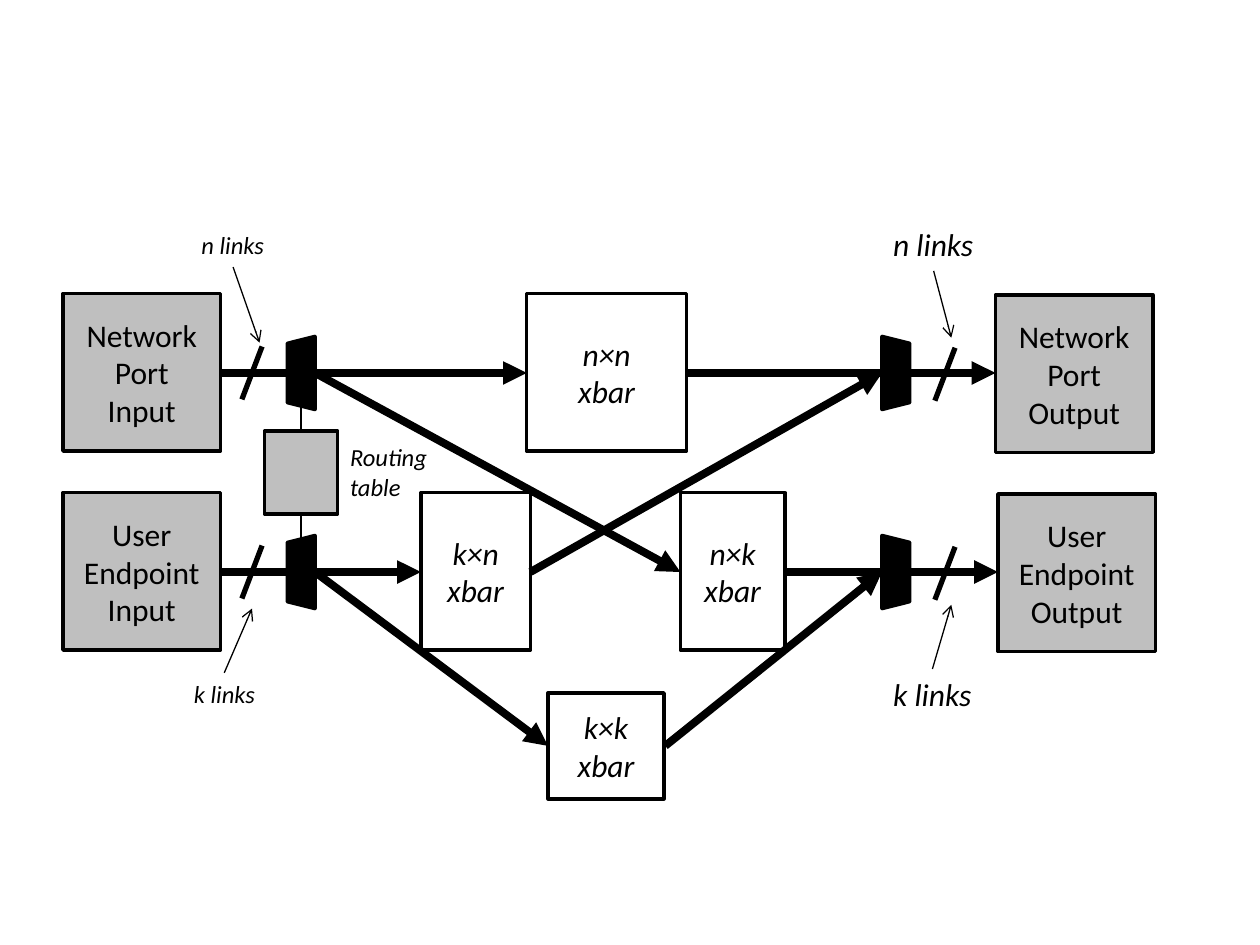
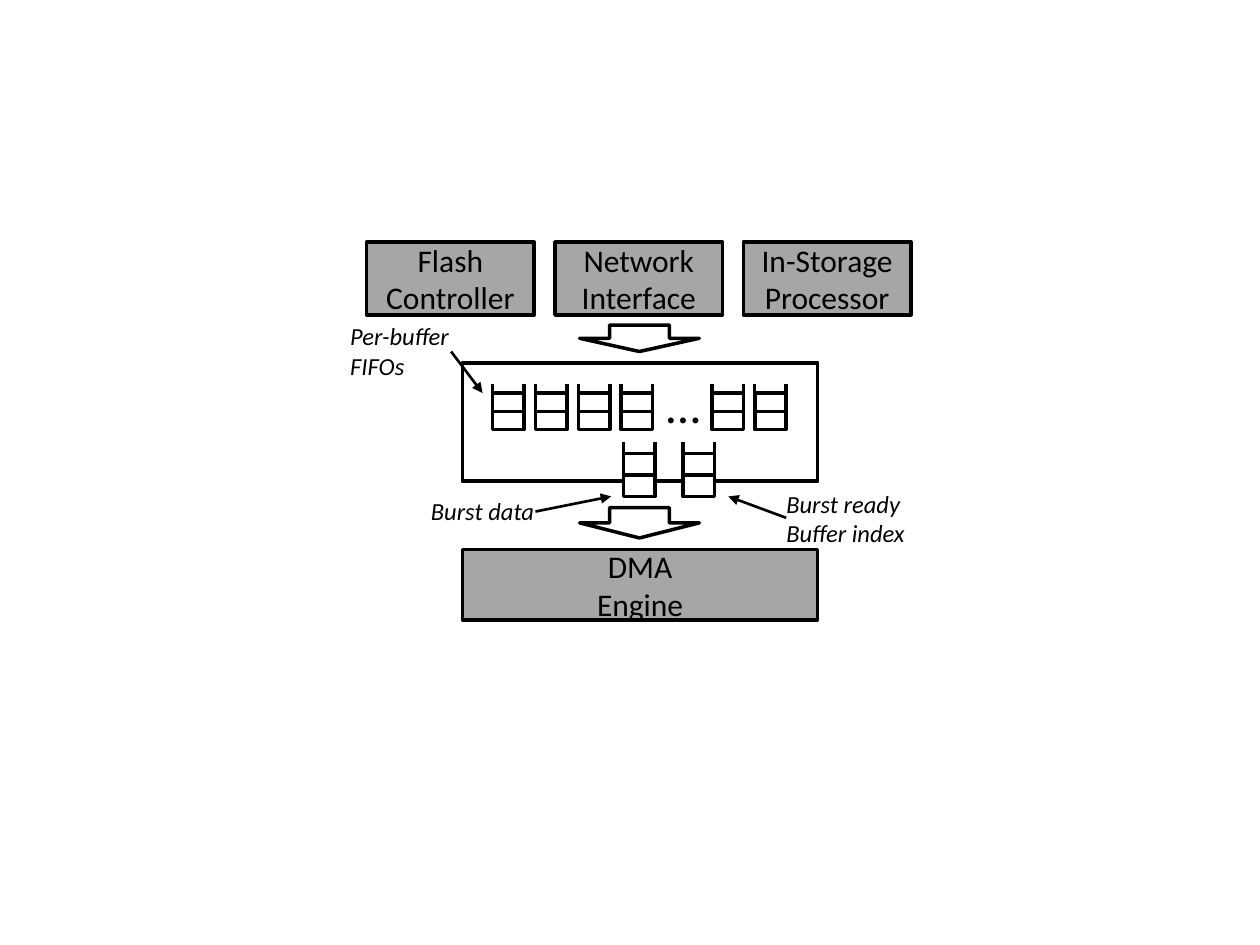
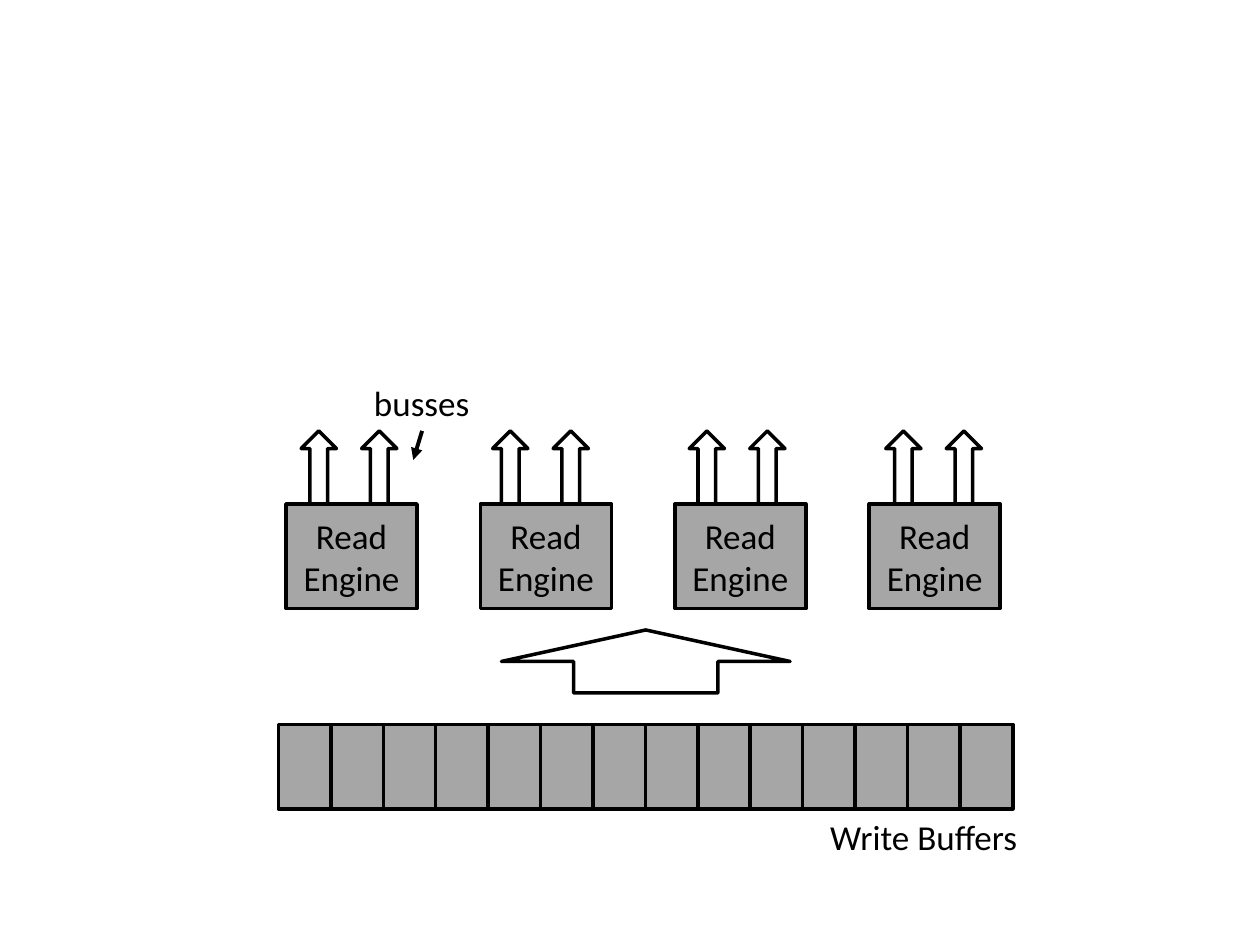
from dataclasses import dataclass
from typing import Optional

import pptx
import pptx.dml.color
import pptx.enum.shapes
import pptx.enum.text
import pptx.oxml.ns
import pptx.util
from lxml import etree

Inches = pptx.util.Inches
Pt = pptx.util.Pt
RGBColor = pptx.dml.color.RGBColor
Shape = pptx.enum.shapes.MSO_SHAPE
Align = pptx.enum.text.PP_ALIGN
Anchor = pptx.enum.text.MSO_ANCHOR
qn = pptx.oxml.ns.qn

# Shared style
BLACK = RGBColor(0x00, 0x00, 0x00)
WHITE = RGBColor(0xFF, 0xFF, 0xFF)
LIGHT_GREY = RGBColor(0xBF, 0xBF, 0xBF)
GREY = RGBColor(0xA6, 0xA6, 0xA6)
FONT = "Calibri"
OUTLINE = 2


@dataclass
class Box:
    x: float
    y: float
    w: float
    h: float
    text: str = ""
    fill: Optional[RGBColor] = GREY
    size: int = 18
    italic: bool = False
    kind: Shape = Shape.RECTANGLE
    rotation: int = 0


@dataclass
class Line:
    x1: float
    y1: float
    x2: float
    y2: float
    width: float = OUTLINE
    head: str = ""


@dataclass
class Label:
    x: float
    y: float
    w: float
    h: float
    text: str
    size: int = 14
    italic: bool = True
    inset: bool = True


def write_text(tf, text: str, *, size: int, italic: bool = False,
               align: Optional[Align] = None) -> None:
    """Fill a text frame, one paragraph for each line of text."""
    for i, row in enumerate(text.split("\n")):
        p = tf.add_paragraph() if i else tf.paragraphs[0]
        p.alignment = align
        r = p.add_run()
        r.text = row
        r.font.name = FONT
        r.font.size = Pt(size)
        r.font.italic = italic
        r.font.color.rgb = BLACK


def add_box(s, box: Box) -> None:
    sp = s.shapes.add_shape(box.kind, Inches(box.x), Inches(box.y),
                            Inches(box.w), Inches(box.h))
    sp.shadow.inherit = False
    sp.rotation = box.rotation
    if box.fill is None:
        sp.fill.background()
    else:
        sp.fill.solid()
        sp.fill.fore_color.rgb = box.fill
    sp.line.color.rgb = BLACK
    sp.line.width = Pt(OUTLINE)
    if box.text:
        sp.text_frame.vertical_anchor = Anchor.MIDDLE
        write_text(sp.text_frame, box.text, size=box.size, italic=box.italic,
                   align=Align.CENTER)


def add_line(s, line: Line) -> None:
    sp = s.shapes.add_connector(
        pptx.enum.shapes.MSO_CONNECTOR.STRAIGHT,
        Inches(line.x1), Inches(line.y1), Inches(line.x2), Inches(line.y2))
    sp.line.color.rgb = BLACK
    sp.line.width = Pt(line.width)
    if line.head:
        etree.SubElement(sp.line._get_or_add_ln(), qn("a:tailEnd"), type=line.head)
    etree.SubElement(sp._element.spPr, qn("a:effectLst"))


def add_label(s, label: Label) -> None:
    sp = s.shapes.add_textbox(Inches(label.x), Inches(label.y),
                              Inches(label.w), Inches(label.h))
    tf = sp.text_frame
    tf.word_wrap = False
    tf.auto_size = pptx.enum.text.MSO_AUTO_SIZE.SHAPE_TO_FIT_TEXT
    if not label.inset:
        tf.margin_left = tf.margin_top = tf.margin_right = tf.margin_bottom = 0
    write_text(tf, label.text, size=label.size, italic=label.italic)


def add_fifo(s, x: float, top: float, lip: float, cell: float) -> None:
    """Draw two stacked cells with side walls that rise above them."""
    w = 0.25
    for i in range(2):
        add_box(s, Box(x, top + lip + i * cell, w, cell, fill=WHITE))
    for wall in (x, x + w):
        add_line(s, Line(wall, top + lip + 1.5 * cell, wall, top))


def crossbar_slide(s) -> None:
    network_y, endpoint_y, bypass_y = 2.96, 4.54, 5.92
    side = 1.25

    # Ports and crossbars
    for x, y, text in ((0.5, 2.33, "Network\nPort\nInput"),
                       (0.5, 3.91, "User\nEndpoint\nInput"),
                       (7.9, 2.34, "Network\nPort\nOutput"),
                       (7.92, 3.92, "User\nEndpoint\nOutput")):
        add_box(s, Box(x, y, side, side, text, LIGHT_GREY))
    for x, y, w, h, name in ((4.18, 2.33, 1.27, side, "n×n"),
                             (3.34, 3.91, 0.87, side, "k×n"),
                             (5.4, 3.91, 0.83, side, "n×k"),
                             (4.35, 5.5, 0.92, 0.84, "k×k")):
        add_box(s, Box(x, y, w, h, f"{name}\nxbar", WHITE, italic=True))

    # Multiplexers and the slashes that mark bundles of links
    for y in (network_y, endpoint_y):
        for x, rotation in ((2.1, 270), (6.82, 90)):
            add_box(s, Box(x, y - 0.11, 0.58, 0.22, fill=BLACK,
                           kind=Shape.TRAPEZOID, rotation=rotation))
        for x, dy in ((2, 0), (7.5, 0.01)):
            add_line(s, Line(x + 0.08, y - 0.21 + dy, x - 0.08, y + 0.21 + dy, 3))

    # Data paths
    for ends in ((1.75, network_y, 4.18, network_y),
                 (1.75, endpoint_y, 3.34, endpoint_y),
                 (2.5, endpoint_y, 4.35, bypass_y),
                 (2.5, network_y, 5.4, endpoint_y),
                 (5.45, network_y, 7.9, network_y),
                 (4.21, endpoint_y, 7, network_y),
                 (6.23, endpoint_y, 7.92, endpoint_y),
                 (5.28, bypass_y, 7, endpoint_y)):
        add_line(s, Line(*ends, width=4.5, head="triangle"))

    # Link counts with pointers
    for label, ends in (
            (Label(1.5, 1.78, 0.71, 0.34, "n links"), (1.85, 2.12, 2.06, 2.72)),
            (Label(6.99, 1.74, 0.84, 0.4, "n links", 18), (7.41, 2.15, 7.55, 2.68)),
            (Label(1.44, 5.34, 0.69, 0.34, "k links"), (1.78, 5.34, 2, 4.83)),
            (Label(6.99, 5.31, 0.83, 0.4, "k links", 18), (7.4, 5.31, 7.55, 4.8))):
        add_label(s, label)
        add_line(s, Line(*ends, width=0.75, head="arrow"))

    # Routing table
    add_box(s, Box(2.1, 3.42, 0.58, 0.66, fill=LIGHT_GREY))
    for y1, y2 in ((3.22, 3.42), (4.08, 4.27)):
        add_line(s, Line(2.39, y1, 2.39, y2, 0.75))
    add_label(s, Label(2.68, 3.46, 0.82, 0.57, "Routing\ntable"))


def buffer_slide(s) -> None:
    # Sources and the engine
    for i, text in enumerate(("Flash\nController", "Network\nInterface",
                              "In-Storage\nProcessor")):
        add_box(s, Box(2.91 + 1.495 * i, 1.92, 1.33, 0.58, text))
    add_box(s, Box(3.67, 4.36, 2.82, 0.56, "DMA\nEngine"))

    # Buffer block with its queues
    add_box(s, Box(3.67, 2.88, 2.82, 0.94, fill=None))
    for start, count in ((3.91, 4), (5.65, 2)):
        for i in range(count):
            add_fifo(s, start + 0.34 * i, 3.05, 0.07, 0.145)
    add_label(s, Label(5.19, 2.92, 0.47, 0.47, "…", 28, italic=False))
    for x in (4.95, 5.42):
        add_fifo(s, x, 3.51, 0.09, 0.17)

    # Flow arrows
    for y, h in ((2.58, 0.21), (4.03, 0.24)):
        add_box(s, Box(4.6, y, 0.95, h, fill=WHITE, kind=Shape.DOWN_ARROW))

    # Callouts
    for frame, text, ends in (
            ((6.24, 3.88, 0.95, 0.47), "Burst ready\nBuffer index", (6.24, 4.11, 5.78, 3.94)),
            ((3.42, 3.94, 0.83, 0.24), "Burst data", (4.25, 4.06, 4.85, 3.94)),
            ((2.78, 2.55, 0.8, 0.47), "Per-buffer\nFIFOs", (3.58, 2.79, 3.83, 3.12))):
        add_label(s, Label(*frame, text, inset=False))
        add_line(s, Line(*ends, width=1.5, head="triangle"))


def read_engine_slide(s) -> None:
    # Write buffers
    for i in range(14):
        add_box(s, Box(2.21 + 0.416 * i, 5.75, 0.42, 0.67))
    add_label(s, Label(6.49, 6.42, 1.71, 0.44, "Write Buffers", 20, italic=False))
    add_box(s, Box(3.98, 5, 2.29, 0.5, fill=WHITE, kind=Shape.UP_ARROW))

    # Read engines, each with two busses
    for i, bus_x in enumerate((2.39, 3.91, 5.47, 7.03)):
        add_box(s, Box(2.27 + 1.543 * i, 4, 1.04, 0.83, "Read Engine", size=20))
        for x in (bus_x, bus_x + 0.48):
            add_box(s, Box(x, 3.42, 0.28, 0.58, fill=WHITE, kind=Shape.UP_ARROW))
    add_label(s, Label(2.87, 2.98, 0.97, 0.44, "busses", 20, italic=False))
    add_line(s, Line(3.35, 3.42, 3.28, 3.65, 2.25, "triangle"))


def main() -> None:
    prs = pptx.Presentation()
    prs.slide_width, prs.slide_height = Inches(10), Inches(7.5)
    blank = prs.slide_layouts[6]
    for build in (crossbar_slide, buffer_slide, read_engine_slide):
        build(prs.slides.add_slide(blank))
    prs.save("out.pptx")


main()
